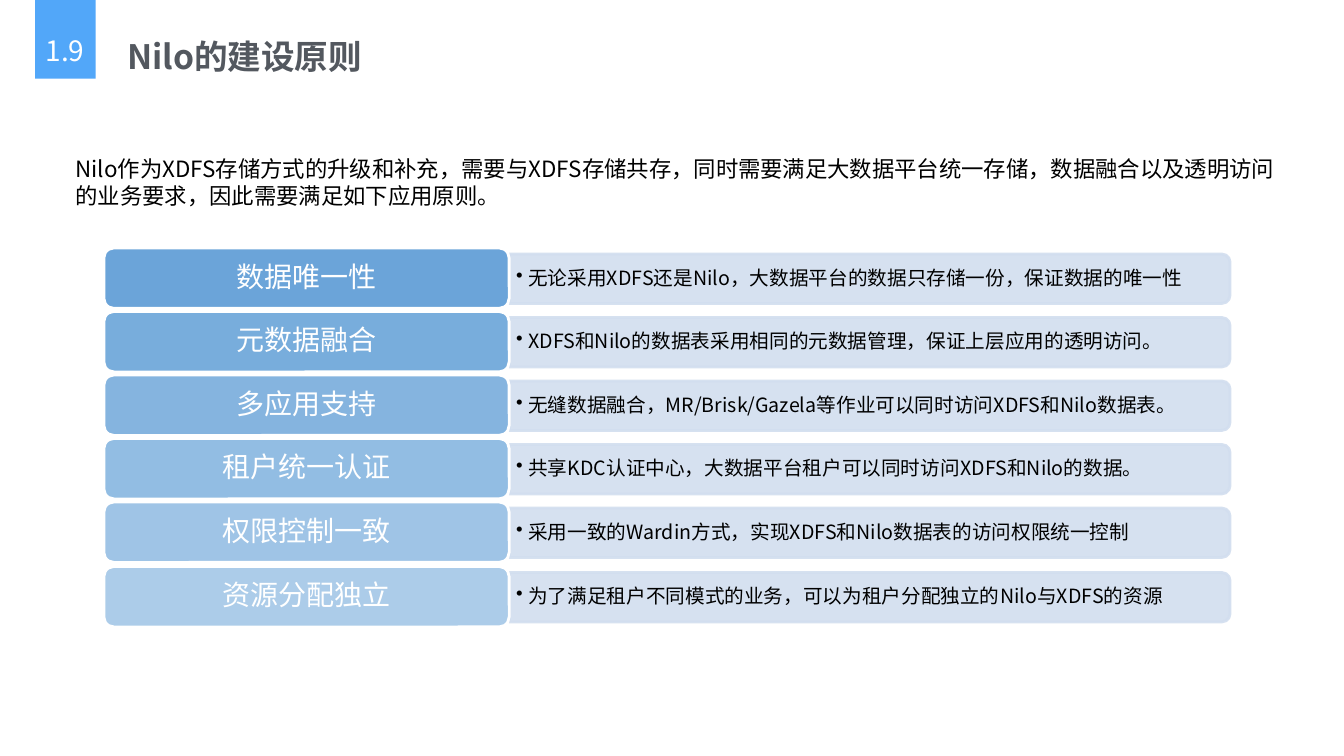
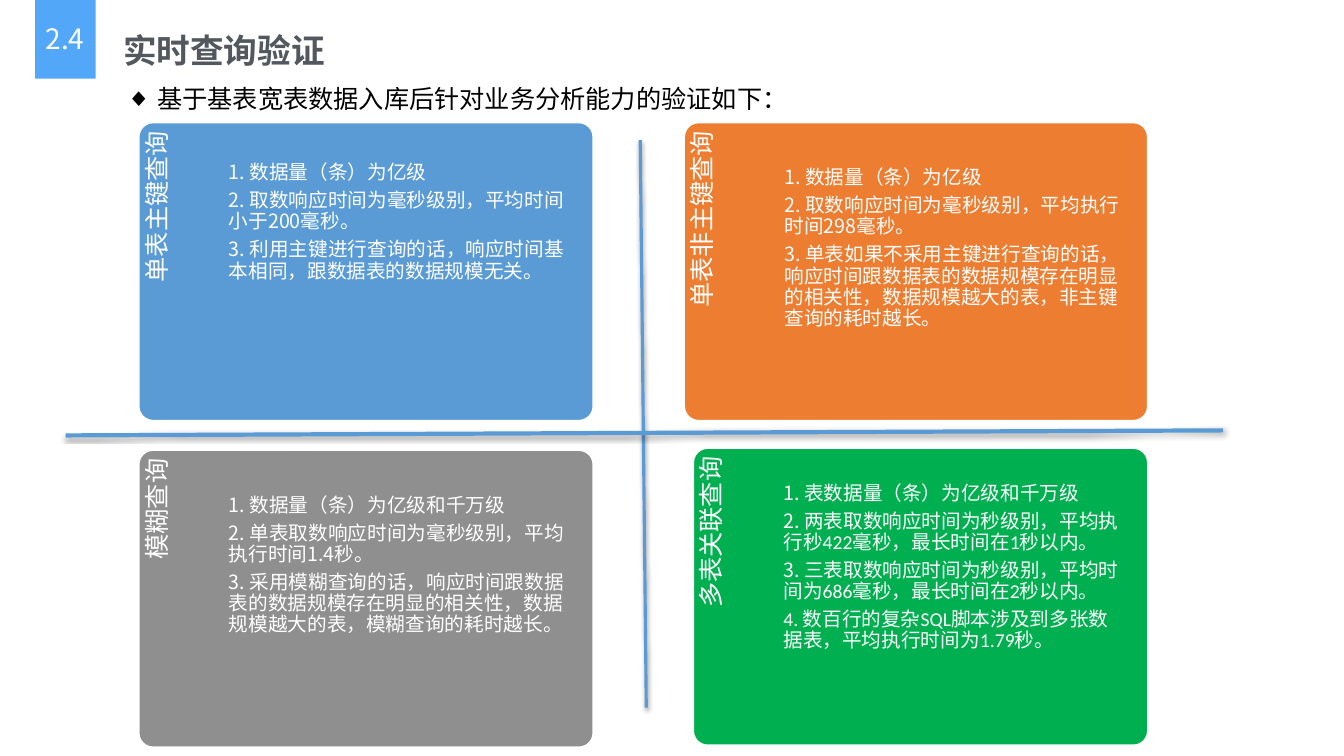
from dataclasses import dataclass

from lxml import etree
from pptx import Presentation
from pptx.dml.color import RGBColor
from pptx.enum.shapes import MSO_CONNECTOR, MSO_SHAPE
from pptx.enum.text import MSO_ANCHOR, MSO_AUTO_SIZE, PP_ALIGN
from pptx.oxml.ns import qn
from pptx.util import Emu, Pt

LEFT, CENTER, RIGHT = PP_ALIGN.LEFT, PP_ALIGN.CENTER, PP_ALIGN.RIGHT
TOP, MIDDLE = MSO_ANCHOR.TOP, MSO_ANCHOR.MIDDLE
RECT, ROUNDED = MSO_SHAPE.RECTANGLE, MSO_SHAPE.ROUNDED_RECTANGLE
HALF_ROUNDED = MSO_SHAPE.ROUND_2_SAME_RECTANGLE
STRAIGHT = MSO_CONNECTOR.STRAIGHT
NO_AUTOFIT = MSO_AUTO_SIZE.NONE
EMU_PER_PX = 9144  # 100 px to the inch


@dataclass(frozen=True)
class Theme:
    cjk: str = "Noto Sans CJK SC"
    latin: str = "Calibri"
    tab: str = "52A7F9"
    title: str = "53585F"
    ink: str = "000000"
    white: str = "FFFFFF"
    blue: str = "5B9BD5"
    pale: str = "D2DEEF"
    orange: str = "ED7D31"
    gray: str = "8F8F8F"
    green: str = "00B050"
    title_size: int = 24
    label_size: int = 20
    lead_size: int = 18
    intro_size: int = 16
    text_size: int = 14
    pitch: float = 1.2
    tight: float = 1.08


T = Theme()


@dataclass(frozen=True)
class Box:
    x: int
    y: int
    w: int
    h: int


@dataclass(frozen=True)
class Principle:
    label: str
    detail: str


@dataclass(frozen=True)
class Panel:
    box: Box
    color: str
    heading: str
    points: tuple[str, ...]
    text_x: int = 90
    text_y: int = 45
    text_w: int = 337
    font: str = T.cjk
    cjk_numbers: int = 3  # later numbers take the panel font


PRINCIPLES = (
    Principle("数据唯一性", "无论采用XDFS还是Nilo，大数据平台的数据只存储一份，保证数据的唯一性"),
    Principle("元数据融合", "XDFS和Nilo的数据表采用相同的元数据管理，保证上层应用的透明访问。"),
    Principle("多应用支持", "无缝数据融合，MR/Brisk/Gazela等作业可以同时访问XDFS和Nilo数据表。"),
    Principle("租户统一认证", "共享KDC认证中心，大数据平台租户可以同时访问XDFS和Nilo的数据。"),
    Principle("权限控制一致", "采用一致的Wardin方式，实现XDFS和Nilo数据表的访问权限统一控制"),
    Principle("资源分配独立", "为了满足租户不同模式的业务，可以为租户分配独立的Nilo与XDFS的资源"),
)

PANELS = (
    Panel(Box(137, 121, 452, 297), T.blue, "单表主键查询", (
        "数据量（条）为亿级",
        "取数响应时间为毫秒级别，平均时间小于200毫秒。",
        "利用主键进行查询的话，响应时间基本相同，跟数据表的数据规模无关。",
    ), text_y=40),
    Panel(Box(678, 121, 461, 297), T.orange, "单表非主键查询", (
        "数据量（条）为亿级",
        "取数响应时间为毫秒级别，平均执行时间298毫秒。",
        "单表如果不采用主键进行查询的话，响应时间跟数据表的数据规模存在明显的相关性，"
        "数据规模越大的表，非主键查询的耗时越长。",
    ), text_x=100, text_w=344),
    Panel(Box(137, 446, 452, 296), T.gray, "模糊查询", (
        "数据量（条）为亿级和千万级",
        "单表取数响应时间为毫秒级别，平均执行时间1.4秒。",
        "采用模糊查询的话，响应时间跟数据表的数据规模存在明显的相关性，"
        "数据规模越大的表，模糊查询的耗时越长。",
    )),
    Panel(Box(687, 444, 452, 296), T.green, "多表关联查询", (
        "表数据量（条）为亿级和千万级",
        "两表取数响应时间为秒级别，平均执行秒422毫秒，最长时间在1秒以内。",
        "三表取数响应时间为秒级别，平均时间为686毫秒，最长时间在2秒以内。",
        "数百行的复杂SQL脚本涉及到多张数据表，平均执行时间为1.79秒。",
    ), text_y=35, font=T.latin),
)


def px(n: float) -> Emu:
    return Emu(round(n * EMU_PER_PX))


def place(box: Box) -> tuple[Emu, ...]:
    return px(box.x), px(box.y), px(box.w), px(box.h)


def turned(box: Box) -> Box:
    """The unrotated frame that covers box after a quarter turn."""
    return Box(box.x + (box.w - box.h) // 2, box.y + (box.h - box.w) // 2, box.h, box.w)


# Text
def frame(sp, inset=(0, 0, 0, 0), anchor=TOP):
    tf = sp.text_frame
    tf.word_wrap = True
    tf.auto_size = NO_AUTOFIT
    tf.vertical_anchor = anchor
    tf.margin_left, tf.margin_top, tf.margin_right, tf.margin_bottom = map(px, inset)
    return tf


def write(tf, text: str, *, size: int, color: str, font: str = T.cjk, bold: bool = False,
          align=LEFT, pitch: float = T.pitch, after: int = 0, bullet: str = "",
          indent: int = 0, number: str = "") -> None:
    """Add one paragraph to the frame."""
    p = tf.paragraphs[0]
    if p.runs:
        p = tf.add_paragraph()
    p.alignment = align
    p.line_spacing = Pt(round(size * pitch, 1))
    p.space_before, p.space_after = Pt(0), Pt(after)
    pPr = p._p.get_or_add_pPr()
    pPr.set("marL", str(px(indent)))
    pPr.set("indent", str(px(-indent)))
    pPr.set("hangingPunct", "0")
    if bullet:
        etree.SubElement(pPr, qn("a:buChar")).set("char", bullet)
    else:
        etree.SubElement(pPr, qn("a:buNone"))
    for part, face in ((number, T.cjk), (text, font)):
        if not part:
            continue
        r = p.add_run()
        r.text = part
        r.font.size, r.font.bold, r.font.name = Pt(size), bold, face
        r.font.color.rgb = RGBColor.from_string(color)
        etree.SubElement(r._r.get_or_add_rPr(), qn("a:ea")).set("typeface", T.cjk)


def text_box(s, box: Box, inset=(0, 0, 0, 0), anchor=TOP, rotation: int = 0):
    sp = s.shapes.add_textbox(*place(box))
    sp.rotation = rotation
    return frame(sp, inset, anchor)


# Shapes and lines
def set_alpha(solid_fill, percent: int) -> None:
    for color in solid_fill.iter(qn("a:srgbClr")):
        etree.SubElement(color, qn("a:alpha")).set("val", str(percent * 1000))


def add_box(s, kind, box: Box, fill: str, line: str = "", alpha: int = 100,
            line_alpha: int = 100, rotation: int = 0):
    sp = s.shapes.add_shape(kind, *place(box))
    sp.shadow.inherit = False
    sp.rotation = rotation
    sp.fill.solid()
    sp.fill.fore_color.rgb = RGBColor.from_string(fill)
    if alpha < 100:
        set_alpha(sp.element.spPr.find(qn("a:solidFill")), alpha)
    if line:
        sp.line.width = Pt(2)
        sp.line.color.rgb = RGBColor.from_string(line)
        if line_alpha < 100:
            set_alpha(sp.element.spPr.find(qn("a:ln")), line_alpha)
    else:
        sp.line.fill.background()
    return sp


def add_axis(s, x1: int, y1: int, x2: int, y2: int, width: float) -> None:
    line = s.shapes.add_connector(STRAIGHT, px(x1), px(y1), px(x2), px(y2))
    line.line.width = Pt(width)
    line.line.color.rgb = RGBColor.from_string(T.blue)
    effects = etree.SubElement(line.element.spPr, qn("a:effectLst"))
    shadow = etree.SubElement(effects, qn("a:outerShdw"), blurRad=str(Pt(3)),
                              dist=str(Pt(1.6)), dir="5400000", rotWithShape="0")
    color = etree.SubElement(shadow, qn("a:srgbClr"), val=T.ink)
    etree.SubElement(color, qn("a:alpha"), val="38000")


# Shared slide head: number tab, title and lead text
def new_slide(prs, number: str, number_y: int, title: str, title_box: Box, body_box: Box):
    s = prs.slides.add_slide(prs.slide_layouts[1])
    add_box(s, RECT, Box(35, -1, 60, 79), T.tab)
    write(text_box(s, Box(34, number_y, 61, 40), anchor=MIDDLE), number,
          size=T.label_size, color=T.white, align=CENTER)
    head, body = s.shapes.title, s.placeholders[1]
    for sp, box in ((head, title_box), (body, body_box)):
        sp.left, sp.top, sp.width, sp.height = place(box)
    write(frame(head, (3, 3, 3, 3), MIDDLE), title,
          size=T.title_size, color=T.title, bold=True)
    return s, frame(body, (5, 5, 5, 5))


# Slide 1.9: rows of principles
def principles_slide(prs) -> None:
    s, body = new_slide(prs, "1.9", 30, "Nilo的建设原则",
                        Box(123, 9, 636, 94), Box(70, 149, 1209, 64))
    write(body, "Nilo作为XDFS存储方式的升级和补充，需要与XDFS存储共存，"
          "同时需要满足大数据平台统一存储，数据融合以及透明访问的业务要求，"
          "因此需要满足如下应用原则。", size=T.intro_size, color=T.ink)
    for i, row in enumerate(PRINCIPLES):
        y = 246 + 316 * i // 5
        bar = Box(505, y + 6, 715, 49)
        add_box(s, HALF_ROUNDED, turned(bar), T.pale, T.pale, 90, 90, rotation=90)
        write(text_box(s, Box(506, y + 9, 713, 43), (6, 3, 6, 3), MIDDLE), row.detail,
              size=T.text_size, color=T.ink, pitch=T.tight, bullet="•", indent=12)
        label = add_box(s, ROUNDED, Box(103, y, 402, 60), T.blue, T.white, 90 - 8 * i)
        write(frame(label, (8, 4, 8, 8), MIDDLE), row.label,
              size=T.label_size, color=T.white, align=CENTER)


# Slide 2.4: four panels around two axes
def add_panel(s, panel: Panel) -> None:
    box = panel.box
    sp = add_box(s, ROUNDED, box, panel.color, T.white)
    sp.adjustments[0] = 0.05
    heading = text_box(s, turned(Box(box.x, box.y, 90, 244)), (0, 6, 9, 0), rotation=270)
    write(heading, panel.heading, size=T.lead_size, color=T.white, font=T.latin,
          align=RIGHT, pitch=T.tight)
    tf = text_box(s, Box(box.x + panel.text_x, box.y + panel.text_y,
                         panel.text_w, box.h - panel.text_y))
    for n, point in enumerate(panel.points, 1):
        number = f"{n}. "
        if n > panel.cjk_numbers:
            number, point = "", number + point
        write(tf, point, number=number, size=T.text_size, color=T.white,
              font=panel.font, pitch=T.tight, after=5)


def queries_slide(prs) -> None:
    s, body = new_slide(prs, "2.4", 18, "实时查询验证",
                        Box(119, 29, 640, 42), Box(120, 78, 942, 40))
    write(body, "基于基表宽表数据入库后针对业务分析能力的验证如下：",
          size=T.lead_size, color=T.ink, font=T.latin, bullet="◆", indent=31)
    add_axis(s, 635, 139, 641, 702, 2.25)
    add_axis(s, 65, 432, 1213, 427, 3)
    for panel in PANELS:
        add_panel(s, panel)


def main() -> None:
    prs = Presentation()
    prs.slide_width, prs.slide_height = px(1333), px(750)
    principles_slide(prs)
    queries_slide(prs)
    prs.save("out.pptx")


if __name__ == "__main__":
    main()
